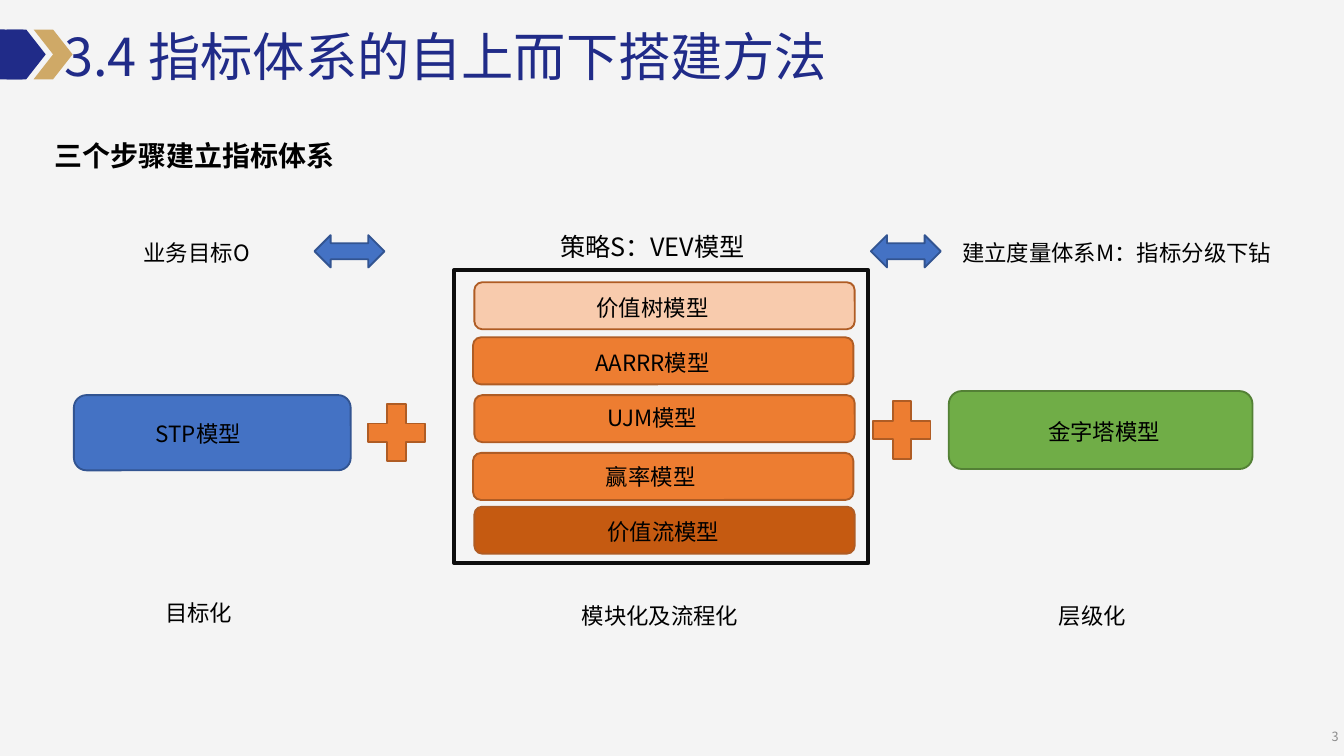
import pptx
import pptx.util
import pptx.dml.color
import pptx.enum.shapes
import pptx.enum.text
import pptx.oxml.ns
import lxml.etree

FONT = "Noto Sans CJK SC"
Inches = pptx.util.Inches
MSO = pptx.enum.shapes.MSO_SHAPE
ALIGN = pptx.enum.text.PP_ALIGN
MIDDLE = pptx.enum.text.MSO_ANCHOR.MIDDLE


def add_run(p, text, size, color="000000", bold=False):
    r = p.add_run()
    r.text = text
    r.font.size = pptx.util.Pt(size)
    r.font.bold = bold
    r.font.name = FONT
    r.font.color.rgb = pptx.dml.color.RGBColor.from_string(color)
    ea = lxml.etree.SubElement(r.font._element, pptx.oxml.ns.qn("a:ea"))
    ea.set("typeface", FONT)


def add_box(kind, x, y, w, h, fill=None, line=None, line_width=1):
    sp = s.shapes.add_shape(kind, Inches(x), Inches(y), Inches(w), Inches(h))
    sp.shadow.inherit = False
    if fill:
        sp.fill.solid()
        sp.fill.fore_color.rgb = pptx.dml.color.RGBColor.from_string(fill)
    else:
        sp.fill.background()
    if line:
        sp.line.color.rgb = pptx.dml.color.RGBColor.from_string(line)
        sp.line.width = pptx.util.Pt(line_width)
    else:
        sp.line.fill.background()
    return sp


prs = pptx.Presentation()
prs.slide_width = Inches(10)
prs.slide_height = Inches(10) * 9 // 16
s = prs.slides.add_slide(prs.slide_layouts[5])
s.background.fill.solid()
s.background.fill.fore_color.rgb = pptx.dml.color.RGBColor.from_string("F4F4F4")

tab = add_box(MSO.ROUNDED_RECTANGLE, -0.15, 0.22, 0.35, 0.37, "202B88")
tab.adjustments[0] = 0.1
add_box(MSO.CHEVRON, 0.25, 0.22, 0.29, 0.37, "CFA967")
add_box(MSO.CHEVRON, 0.05, 0.22, 0.29, 0.37, "202B88")

title = s.shapes.title
title.left, title.top = Inches(0.48), Inches(0.18)
title.width, title.height = Inches(9.04), Inches(0.47)
title.element.getparent().append(title.element)
tf = title.text_frame
tf.margin_left = tf.margin_top = tf.margin_right = tf.margin_bottom = 0
tf.vertical_anchor = MIDDLE
tf.auto_size = pptx.enum.text.MSO_AUTO_SIZE.NONE
tf.paragraphs[0].alignment = ALIGN.LEFT
add_run(tf.paragraphs[0], "3.4 指标体系的自上而下搭建方法", 28, "202B88")

number = s.shapes.add_textbox(Inches(9.56), Inches(5.42), Inches(0.4), Inches(0.12))
tf = number.text_frame
tf.margin_left = tf.margin_top = tf.margin_right = tf.margin_bottom = 0
tf.word_wrap = True
tf.vertical_anchor = MIDDLE
tf.paragraphs[0].alignment = ALIGN.RIGHT
add_run(tf.paragraphs[0], "3", 6.8, "8C8C8C")

for x in (2.34, 6.48):
    add_box(MSO.LEFT_RIGHT_ARROW, x, 1.75, 0.52, 0.24, "4472C4", "325491")
for x, y in ((2.66, 2.93), (6.42, 2.91)):
    add_box(MSO.MATH_PLUS, x, y, 0.58, 0.58, "ED7D31", "AF5C24")
add_box(MSO.ROUNDED_RECTANGLE, 0.55, 2.94, 2.06, 0.56, "4472C4", "325491")
add_box(MSO.ROUNDED_RECTANGLE, 7.06, 2.91, 2.26, 0.58, "70AD47", "538035")
add_box(MSO.RECTANGLE, 3.38, 2.01, 3.08, 2.18, None, "0D0D0D", 2.25)

strategy_bars = [
    (3.53, 2.1, "F8CBAD"),
    (3.52, 2.51, "ED7D31"),
    (3.53, 2.94, "ED7D31"),
    (3.52, 3.37, "ED7D31"),
    (3.53, 3.77, "C55A11"),
]
for x, y, fill in strategy_bars:
    add_box(MSO.ROUNDED_RECTANGLE, x, y, 2.83, 0.35, fill, "AF5C24")

labels = [
    ("三个步骤建立指标体系", 0.31, 0.98, 5.01, 15, True),
    ("业务目标O", 0.97, 1.73, 1.05, 12, False),
    ("策略S：VEV模型", 4.07, 1.67, 2, 13.5, False),
    ("建立度量体系M：指标分级下钻", 7.06, 1.73, 2.56, 12, False),
    ("价值树模型", 4.34, 2.14, 1.21, 12, False),
    ("AARRR模型", 4.33, 2.55, 1.21, 12, False),
    ("UJM模型", 4.42, 2.96, 1.12, 12, False),
    ("赢率模型", 4.41, 3.4, 1.12, 12, False),
    ("价值流模型", 4.42, 3.81, 1.12, 12, False),
    ("STP模型", 1.06, 3.08, 1.15, 12, False),
    ("金字塔模型", 7.7, 3.06, 1.11, 12, False),
    ("目标化", 1.13, 4.41, 0.8, 12, False),
    ("模块化及流程化", 4.23, 4.43, 1.42, 12, False),
    ("层级化", 7.78, 4.43, 0.82, 12, False),
]
for text, x, y, w, size, bold in labels:
    label = s.shapes.add_textbox(Inches(x), Inches(y), Inches(w), Inches(0.3))
    label.text_frame.word_wrap = True
    add_run(label.text_frame.paragraphs[0], text, size, bold=bold)

prs.save("out.pptx")
